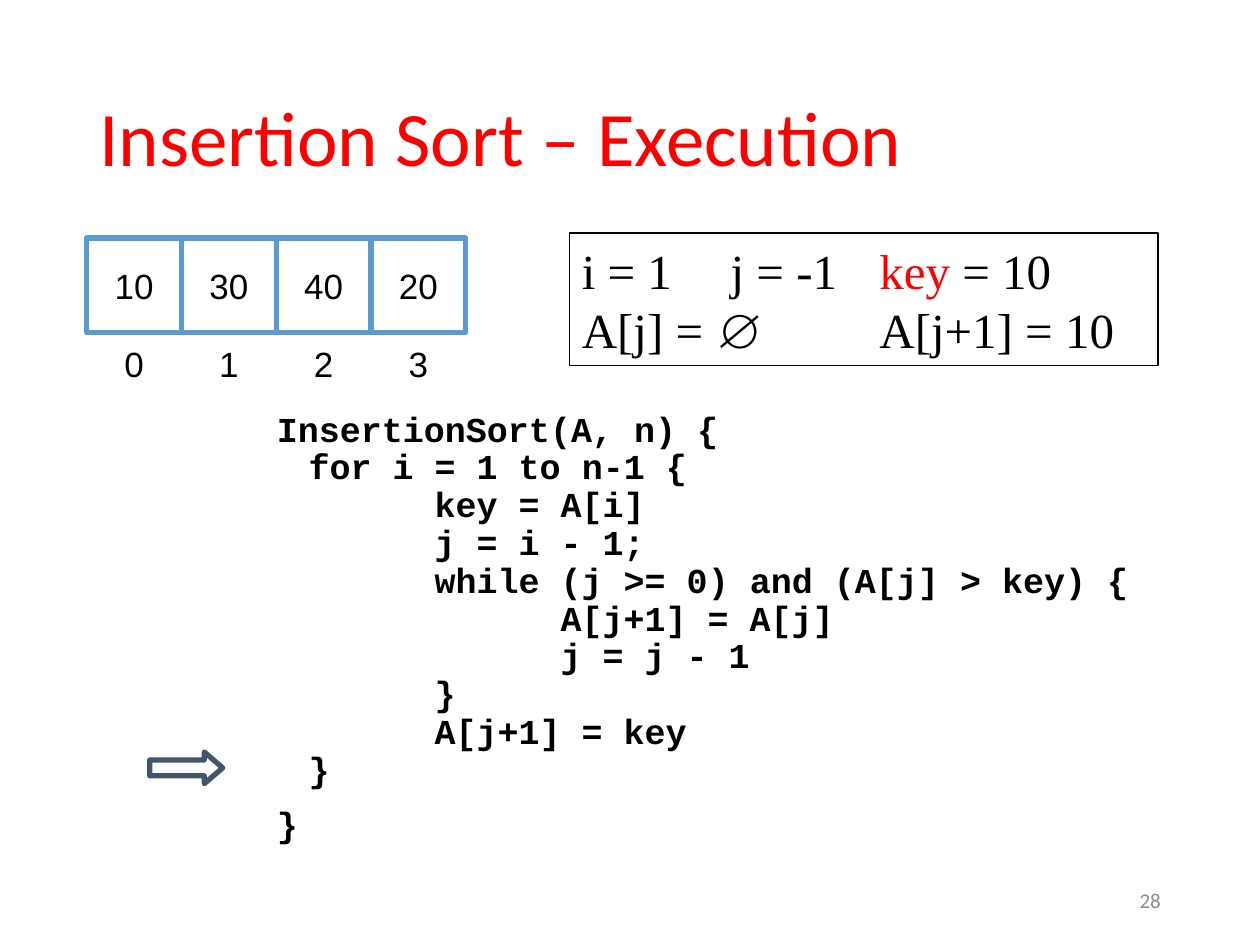
from lxml import etree
from pptx import Presentation
from pptx.dml.color import RGBColor
from pptx.enum import shapes, text
from pptx.oxml import ns
from pptx.util import Cm, Pt

TITLE = "Insertion Sort – Execution"
PAGE = "28"
VALUES = ["10", "30", "40", "20"]
STATE = [
    [("i = 1\tj = -1\t", "000000"), ("key", "FF0000"), (" = 10", "000000")],
    [("A[j] = ∅ \tA[j+1] = 10", "000000")],
]
TABS = [3, 6]
# nesting depth, line of code, space before in points
CODE = [
    (0, "InsertionSort(A, n) {", 0),
    (1, "for i = 1 to n-1 {", 0),
    (2, "key = A[i]", 0),
    (2, "j = i - 1;", 0),
    (2, "while (j >= 0) and (A[j] > key) {", 0),
    (3, "A[j+1] = A[j]", 0),
    (3, "j = j - 1", 0),
    (2, "}", 0),
    (2, "A[j+1] = key", 0),
    (1, "}", 0),
    (0, "}", 10),
]
INDENT = [0, 0.64, 3.18, 5.72]
LEFT, TOP, CELL = 1.75, 4.8, 1.91
MID = text.MSO_ANCHOR.MIDDLE
ALIGN = text.PP_ALIGN


def color(code):
    return RGBColor.from_string(code)


def write(para, words, face, size, code="000000", bold=False):
    run = para.add_run()
    run.text = words
    run.font.name = face
    run.font.size = Pt(size)
    run.font.bold = bold
    run.font.color.rgb = color(code)


def place(shape, left, top, width, height):
    shape.left, shape.top = Cm(left), Cm(top)
    shape.width, shape.height = Cm(width), Cm(height)


def box(slide, kind, at, fill=None, line=None, width=1):
    shape = slide.shapes.add_shape(kind, *map(Cm, at))
    shape.shadow.inherit = False
    if fill:
        shape.fill.solid()
        shape.fill.fore_color.rgb = color(fill)
    else:
        shape.fill.background()
    if line:
        shape.line.color.rgb = color(line)
        shape.line.width = Pt(width)
    else:
        shape.line.fill.background()
    return shape


def label(slide, words, at, line=None):
    """Add a white cell with centred text."""
    shape = box(slide, shapes.MSO_SHAPE.RECTANGLE, at, "FFFFFF", line, 3)
    frame = shape.text_frame
    frame.word_wrap = False
    frame.vertical_anchor = MID
    para = frame.paragraphs[0]
    para.alignment = ALIGN.CENTER
    write(para, words, "Arial", 20)


def lines(frame, rows):
    """Yield one paragraph of the frame with each row."""
    for num, row in enumerate(rows):
        yield frame.add_paragraph() if num else frame.paragraphs[0], row


def set_tabs(para, stops):
    props = para._p.get_or_add_pPr()
    tabs = etree.SubElement(props, ns.qn("a:tabLst"))
    for stop in stops:
        etree.SubElement(tabs, ns.qn("a:tab"), pos=str(Cm(stop)), algn="l")


def main():
    prs = Presentation()
    prs.slide_width, prs.slide_height = Cm(25.4), Cm(19.05)
    slide = prs.slides.add_slide(prs.slide_layouts[5])

    title = slide.shapes.title
    place(title, LEFT, 1.01, 21.9, 3.68)
    title.text_frame.vertical_anchor = MID
    para = title.text_frame.paragraphs[0]
    para.alignment = ALIGN.LEFT
    para.line_spacing = 0.9
    write(para, TITLE, "Calibri", 44, "FF0000")

    page = slide.shapes.add_textbox(Cm(17.94), Cm(17.65), Cm(5.71), Cm(1.01))
    page.text_frame.word_wrap = True
    page.text_frame.vertical_anchor = MID
    para = page.text_frame.paragraphs[0]
    para.alignment = ALIGN.RIGHT
    write(para, PAGE, "Calibri", 12, "8C8C8C")

    code = slide.shapes.add_textbox(Cm(5.33), Cm(8.18), Cm(18.85), Cm(9.32))
    code.text_frame.word_wrap = True
    for para, (depth, words, gap) in lines(code.text_frame, CODE):
        para._p.get_or_add_pPr().set("marL", str(Cm(INDENT[depth])))
        para.line_spacing = 0.9
        para.space_before = Pt(gap)
        write(para, words, "Courier New", 20, bold=True)

    for num, value in enumerate(VALUES):
        left = LEFT + num * CELL
        label(slide, value, (left, TOP, CELL, CELL), "5B9BD5")
        label(slide, str(num), (left, 6.91, CELL, 0.84))

    state = box(slide, shapes.MSO_SHAPE.RECTANGLE, (11.48, 4.7, 11.86, 2.67),
                "FFFFFF", "000000")
    state.text_frame.vertical_anchor = MID
    state.text_frame.word_wrap = True
    for para, row in lines(state.text_frame, STATE):
        para.alignment = ALIGN.LEFT
        set_tabs(para, TABS)
        for words, tint in row:
            write(para, words, "Times New Roman", 28, tint)

    arrow = box(slide, shapes.MSO_SHAPE.RIGHT_ARROW, (3.02, 15.16, 1.47, 0.64),
                line="44546A", width=3)
    arrow.adjustments[0] = 0.5
    arrow.adjustments[1] = 0.58

    prs.save("out.pptx")


if __name__ == "__main__":
    main()
